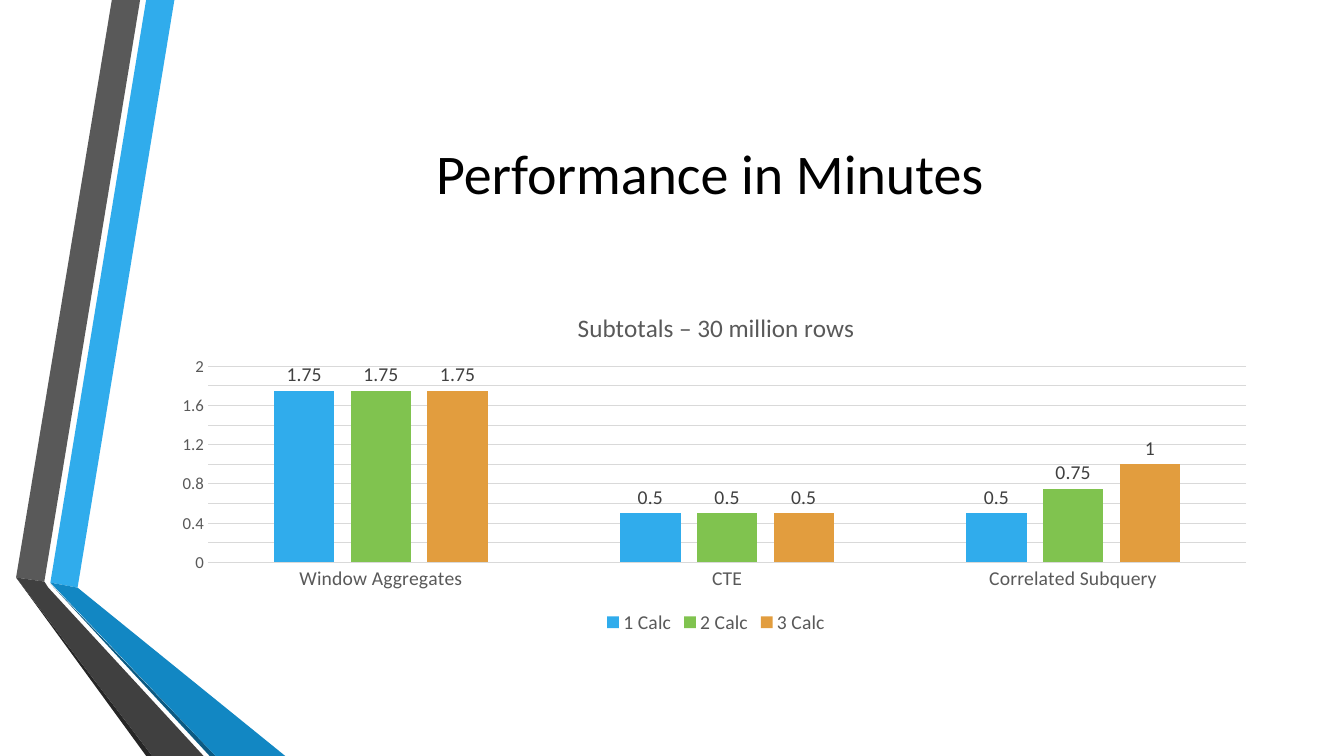
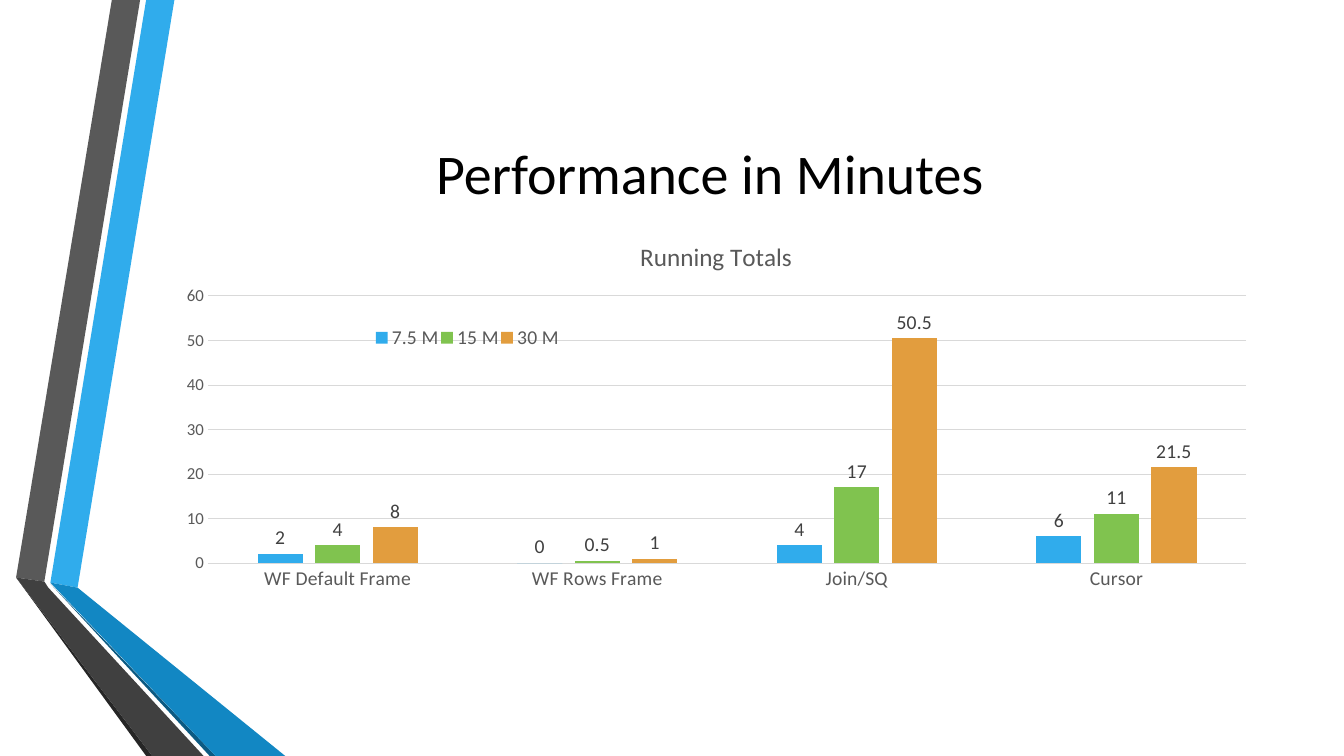
"""Builds two slides of clustered column charts on query performance."""
from lxml import etree
from pptx import Presentation
from pptx.chart.data import CategoryChartData
from pptx.dml.color import RGBColor
from pptx.enum.chart import XL_CHART_TYPE, XL_LABEL_POSITION, XL_LEGEND_POSITION, XL_TICK_MARK
from pptx.enum.text import MSO_ANCHOR, PP_ALIGN
from pptx.oxml.ns import qn
from pptx.util import Inches, Pt

COLUMNS = XL_CHART_TYPE.COLUMN_CLUSTERED
OUTSIDE_END = XL_LABEL_POSITION.OUTSIDE_END
BOTTOM = XL_LEGEND_POSITION.BOTTOM
NO_TICK = XL_TICK_MARK.NONE
MIDDLE = MSO_ANCHOR.MIDDLE
CENTER = PP_ALIGN.CENTER

FONT = "Calibri"
BLACK = RGBColor(0x00, 0x00, 0x00)
INK = RGBColor(0x26, 0x26, 0x26)
CHARCOAL = RGBColor(0x40, 0x40, 0x40)
GRAY = RGBColor(0x59, 0x59, 0x59)
SILVER = RGBColor(0xD9, 0xD9, 0xD9)
NAVY = RGBColor(0x0C, 0x5A, 0x82)
BLUE = RGBColor(0x12, 0x87, 0xC3)
SKY = RGBColor(0x30, 0xAC, 0xEC)
GREEN = RGBColor(0x80, 0xC3, 0x4F)
ORANGE = RGBColor(0xE2, 0x9D, 0x3E)
SERIES_COLORS = [SKY, GREEN, ORANGE]

BANDS = [
    (SKY, [(0.5, 5.78), (0.77, 5.83), (1.73, 0), (1.45, 0)]),
    (GRAY, [(1.39, 0), (1.11, 0), (0.16, 5.73), (0.44, 5.77)]),
    (INK, [(0.16, 5.73), (1.45, 7.5), (1.51, 7.5)]),
    (NAVY, [(0.5, 5.79), (2.08, 7.5), (2.14, 7.5)]),
    (BLUE, [(0.5, 5.78), (2.14, 7.5), (2.83, 7.5), (0.77, 5.83)]),
    (CHARCOAL, [(2.02, 7.5), (0.48, 5.83), (0.44, 5.77), (0.16, 5.73), (1.51, 7.5)]),
]

CHARTS = [
    {
        "title": "Subtotals – 30 million rows",
        "categories": ["Window Aggregates", "CTE", "Correlated Subquery"],
        "series": {"1 Calc": [1.75, 0.5, 0.5], "2 Calc": [1.75, 0.5, 0.75], "3 Calc": [1.75, 0.5, 1]},
        "top_row": 70,
        "maximum": 2,
        "step": 0.2,
        "plot_area": {"x": 0.04, "y": 0.21, "w": 0.94, "h": 0.57},
        "legend_area": None,
    },
    {
        "title": "Running Totals",
        "categories": ["WF Default Frame", "WF Rows Frame", "Join/SQ", "Cursor"],
        "series": {"7.5 M": [2, 0, 4, 6], "15 M": [4, 0.5, 17, 11], "30 M": [8, 1, 50.5, 21.5]},
        "top_row": 52.6,
        "maximum": 60,
        "step": 10,
        "plot_area": {"x": 0.04, "y": 0.18, "w": 0.94, "h": 0.64},
        "legend_area": {"x": 0.19, "y": 0.24, "w": 0.17, "h": 0.08},
    },
]


def write_text(frame, text, size, color):
    para = frame.paragraphs[0]
    para.alignment = CENTER
    span = para.add_run()
    span.text = text
    span.font.name = FONT
    span.font.size = Pt(size)
    span.font.bold = False
    span.font.color.rgb = color


def place_chart_part(part, index, area, inner):
    for old_layout in part.findall(qn("c:layout")):
        part.remove(old_layout)
    layout = etree.Element(qn("c:layout"))
    part.insert(index, layout)
    manual = etree.SubElement(layout, qn("c:manualLayout"))
    if inner:
        etree.SubElement(manual, qn("c:layoutTarget")).set("val", "inner")
    for axis in ("x", "y"):
        etree.SubElement(manual, qn(f"c:{axis}Mode")).set("val", "edge")
    for key, share in area.items():
        etree.SubElement(manual, qn(f"c:{key}")).set("val", str(share))


deck = Presentation()
deck.slide_width = Inches(13.33)
deck.slide_height = Inches(7.5)
column = deck.slide_width / 320
row = deck.slide_height / 180
left, width = int(39 * column), int(263 * column)
bottom_row = 152

blank = deck.slide_layouts[6]
pages = [deck.slides.add_slide(blank) for _ in CHARTS]

for color, points in BANDS:
    corners = [(Inches(x), Inches(y)) for x, y in points]
    outline = pages[0].shapes.build_freeform(*corners[0])
    outline.add_line_segments(corners[1:], close=True)
    band = outline.convert_to_shape()
    band.shadow.inherit = False
    band.fill.solid()
    band.fill.fore_color.rgb = color
    band.line.fill.background()
    blank.shapes.element.append(band.element)

for page, details in zip(pages, CHARTS):
    box = page.shapes.add_textbox(left, int(18 * row), width, int(46 * row))
    box.text_frame.word_wrap = True
    box.text_frame.vertical_anchor = MIDDLE
    write_text(box.text_frame, "Performance in Minutes ", size=40, color=BLACK)

    data = CategoryChartData()
    data.categories = details["categories"]
    for name, values in details["series"].items():
        data.add_series(name, values)
    top = int(details["top_row"] * row)
    height = int(bottom_row * row) - top
    chart = page.shapes.add_chart(COLUMNS, left, top, width, height, data).chart
    chart.font.name = FONT
    chart.font.size = Pt(10)
    chart.has_title = True
    write_text(chart.chart_title.text_frame, details["title"], size=18, color=GRAY)
    chart.chart_title.include_in_layout = False

    chart.has_legend = True
    chart.legend.position = BOTTOM
    chart.legend.include_in_layout = False

    category_axis, value_axis = chart.category_axis, chart.value_axis
    value_axis.minimum_scale = 0
    value_axis.maximum_scale = details["maximum"]
    value_axis.major_unit = details["step"]
    value_axis.has_major_gridlines = True
    value_axis.format.line.fill.background()
    for axis in (category_axis, value_axis):
        axis.major_tick_mark = NO_TICK
        axis.minor_tick_mark = NO_TICK
    for line in (category_axis.format.line, value_axis.major_gridlines.format.line):
        line.color.rgb = SILVER
        line.width = Pt(0.75)

    plot = chart.plots[0]
    plot.gap_width = 219
    plot.overlap = -27
    plot.vary_by_categories = False
    plot.has_data_labels = True
    plot.data_labels.show_value = True
    plot.data_labels.position = OUTSIDE_END
    for series, color in zip(plot.series, SERIES_COLORS):
        series.format.fill.solid()
        series.format.fill.fore_color.rgb = color

    for font, size, color in (
        (chart.legend.font, 14, GRAY),
        (category_axis.tick_labels.font, 14, GRAY),
        (value_axis.tick_labels.font, 12, GRAY),
        (plot.data_labels.font, 14, CHARCOAL),
    ):
        font.name = FONT
        font.size = Pt(size)
        font.color.rgb = color

    plot_area = chart.element.find(".//" + qn("c:plotArea"))
    place_chart_part(plot_area, 0, details["plot_area"], inner=True)
    if details["legend_area"]:
        legend = chart.element.find(".//" + qn("c:legend"))
        place_chart_part(legend, 1, details["legend_area"], inner=False)

deck.save("out.pptx")
